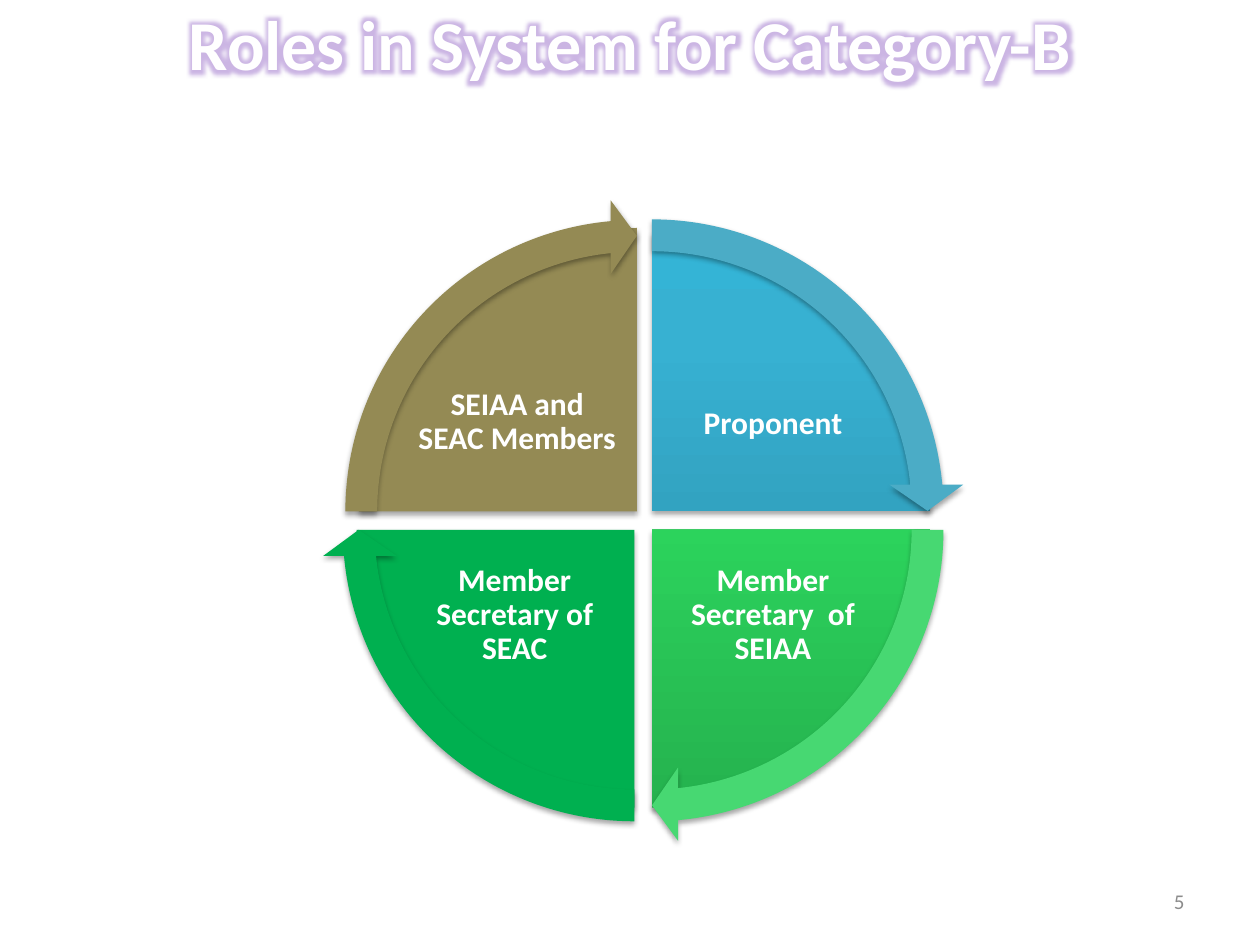
import pptx
import pptx.util
import pptx.oxml
import pptx.oxml.ns
from pptx.dml.color import RGBColor
from pptx.enum.shapes import MSO_SHAPE
from pptx.enum.text import MSO_ANCHOR, PP_ALIGN

Inches, Pt = pptx.util.Inches, pptx.util.Pt

WHITE = RGBColor(0xFF, 0xFF, 0xFF)
GRAY = RGBColor(0x8C, 0x8C, 0x8C)
GLOW = RGBColor(0x7F, 0x48, 0xBB)
SHADOW = RGBColor(0x00, 0x00, 0x00)
TEAL = RGBColor(0x4B, 0xAC, 0xC6)
LIGHT_GREEN = RGBColor(0x47, 0xD8, 0x72)
GREEN = RGBColor(0x00, 0xB0, 0x50)
OLIVE = RGBColor(0x94, 0x8A, 0x54)
BLUE_STOPS = [(0, RGBColor(0x2A, 0x88, 0xA2)), (80, RGBColor(0x37, 0xB1, 0xD2)),
              (100, RGBColor(0x34, 0xB4, 0xD6))]
GREEN_STOPS = [(0, RGBColor(0x25, 0xB2, 0x4E)), (80, RGBColor(0x30, 0xE7, 0x65)),
               (100, RGBColor(0x2D, 0xEB, 0x64))]

# Angles are in units of 100000 / 60000 degree, as the adjustments count them.
QUARTER, TURN, ARROW_HEAD = 54, 216, 3.275
ARROW_SIZE = 4.96

# role, pie box, start angle, pie fill, arrow fill, label left and top in the pie
ROLES = [
    ("Proponent", (2.97, 1.85, 4.41, 4.41), 162, BLUE_STOPS, TEAL, 2.35, 0.91),
    ("Member Secretary  of SEIAA", (2.97, 2, 4.41, 4.41), 0, GREEN_STOPS, LIGHT_GREEN, 2.35, 2.28),
    ("Member Secretary of SEAC", (2.83, 2, 4.41, 4.41), 54, GREEN, GREEN, 0.44, 2.28),
    ("SEIAA and SEAC Members", (2.85, 1.81, 4.41, 4.5), 108, OLIVE, OLIVE, 0.44, 0.94),
]


def drawing_xml(body):
    """Parse one DrawingML element given without its namespace."""
    tag, rest = body.split(" ", 1)
    return pptx.oxml.parse_xml(f"{tag} {pptx.oxml.ns.nsdecls('a')} {rest}")


def add_text(slide, box, text, size, color, align, bold=False, inset=None):
    """Add a middle-anchored text box and return its run."""
    frame = slide.shapes.add_textbox(*map(Inches, box)).text_frame
    frame.word_wrap = True
    frame.vertical_anchor = MSO_ANCHOR.MIDDLE
    if inset is not None:
        frame.margin_left = frame.margin_right = Inches(inset)
        frame.margin_top = frame.margin_bottom = Inches(inset)
    paragraph = frame.paragraphs[0]
    paragraph.alignment = align
    if bold and inset is not None:
        paragraph.line_spacing = 0.9
    run = paragraph.add_run()
    run.text = text
    run.font.name, run.font.size, run.font.bold = "Calibri", Pt(size), bold
    run.font.color.rgb = color
    return run


def add_ring_shape(slide, preset, box, fill, adjustments):
    """Add a borderless, softly shadowed shape with a solid or gradient fill."""
    shape = slide.shapes.add_shape(preset, *map(Inches, box))
    for index, value in enumerate(adjustments):
        shape.adjustments[index] = value
    shape.line.fill.background()
    properties = shape.element.spPr
    if isinstance(fill, list):
        stops = "".join(f'<a:gs pos="{pos * 1000}"><a:srgbClr val="{color}"/></a:gs>'
                        for pos, color in fill)
        properties.insert(2, drawing_xml(
            f'<a:gradFill rotWithShape="1"><a:gsLst>{stops}</a:gsLst>'
            '<a:lin ang="16200000" scaled="0"/></a:gradFill>'))
    else:
        shape.fill.solid()
        shape.fill.fore_color.rgb = fill
    properties.append(drawing_xml(
        f'<a:effectLst ><a:outerShdw blurRad="{Pt(3.15)}" dist="{Pt(1.8)}" dir="5400000" '
        f'rotWithShape="0"><a:srgbClr val="{SHADOW}"><a:alpha val="35000"/></a:srgbClr>'
        '</a:outerShdw></a:effectLst>'))


def add_title(slide, box):
    """Add the glowing title."""
    run = add_text(slide, box, "Roles in System for Category-B", 40, WHITE,
                   PP_ALIGN.CENTER, bold=True)
    run.font.fill._xPr.find(pptx.oxml.ns.qn("a:solidFill")).addnext(drawing_xml(
        f'<a:effectLst ><a:glow rad="{Pt(11)}"><a:srgbClr val="{GLOW}">'
        '<a:alpha val="40000"/></a:srgbClr></a:glow></a:effectLst>'))


def add_quarter(slide, box, role, start, fill, label_left, label_top):
    """Add one quarter of the cycle with its role label."""
    left, top = box[:2]
    add_ring_shape(slide, MSO_SHAPE.PIE, box, fill, (start, (start + QUARTER) % TURN))
    add_text(slide, (left + label_left, top + label_top, 1.63, 1.21), role, 18, WHITE,
             PP_ALIGN.CENTER, bold=True, inset=0.03)


def add_arrow(slide, box, start, color):
    """Add the arrow along a quarter's rim, centred on the quarter's box."""
    left, top, width, height = box
    arrow_box = (left + (width - ARROW_SIZE) / 2, top + (height - ARROW_SIZE) / 2,
                 ARROW_SIZE, ARROW_SIZE)
    add_ring_shape(slide, MSO_SHAPE.CIRCULAR_ARROW, arrow_box, color,
                   (0.051, ARROW_HEAD, start + QUARTER - ARROW_HEAD, start, 0.059))


def add_cycle(slide):
    """Add all quarters, then the arrows on top of them."""
    for role, box, start, fill, _, label_left, label_top in ROLES:
        add_quarter(slide, box, role, start, fill, label_left, label_top)
    for _, box, start, _, arrow_color, _, _ in ROLES:
        add_arrow(slide, box, start, arrow_color)


def main():
    """Build the slide and save it."""
    deck = pptx.Presentation()
    deck.slide_width, deck.slide_height = Inches(10), Inches(7.5)
    slide = deck.slides.add_slide(deck.slide_layouts[6])
    add_title(slide, (0, 0, 10, 0.67))
    add_text(slide, (7.17, 6.95, 2.33, 0.4), "5", 12, GRAY, PP_ALIGN.RIGHT)
    add_cycle(slide)
    deck.save("out.pptx")


main()
